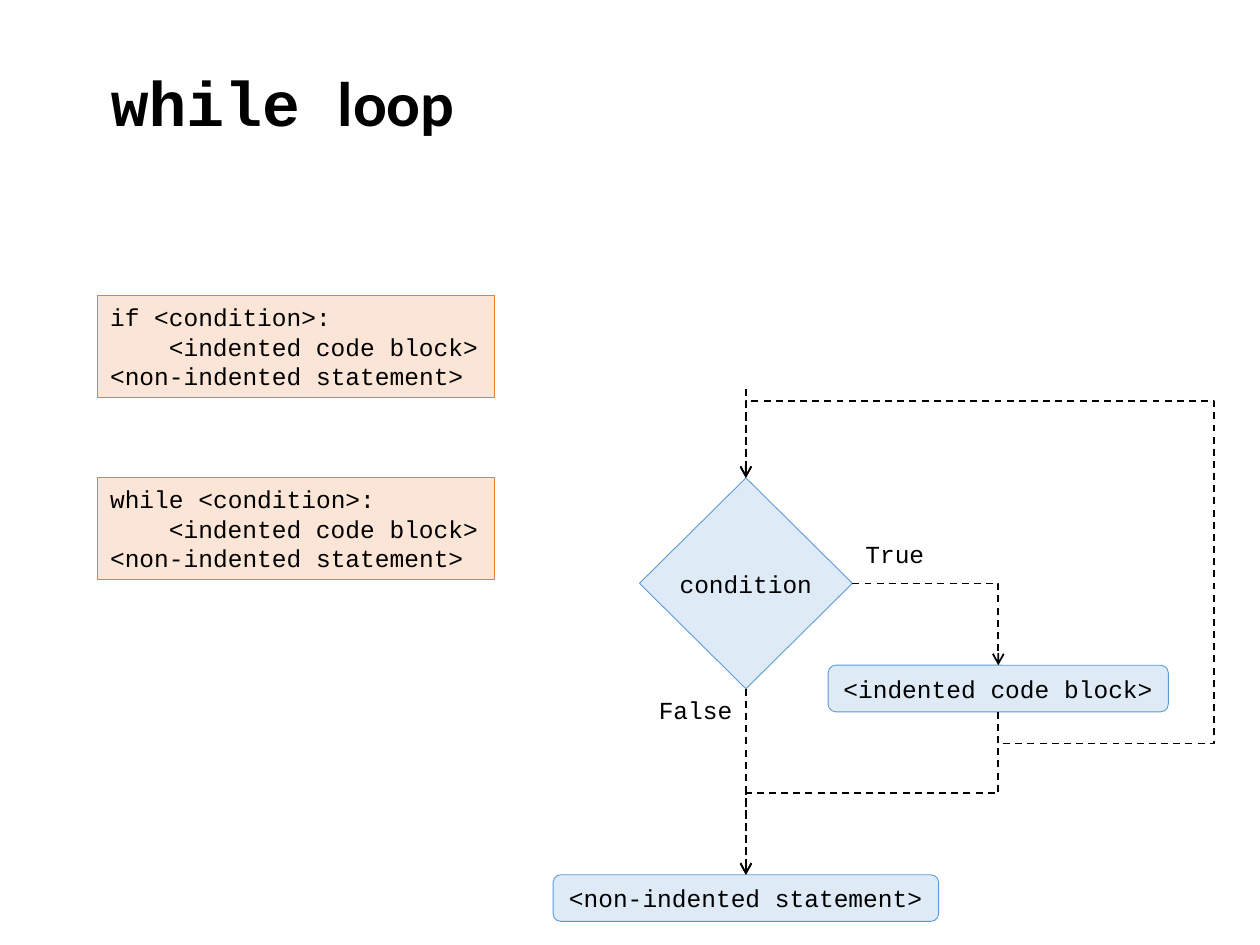
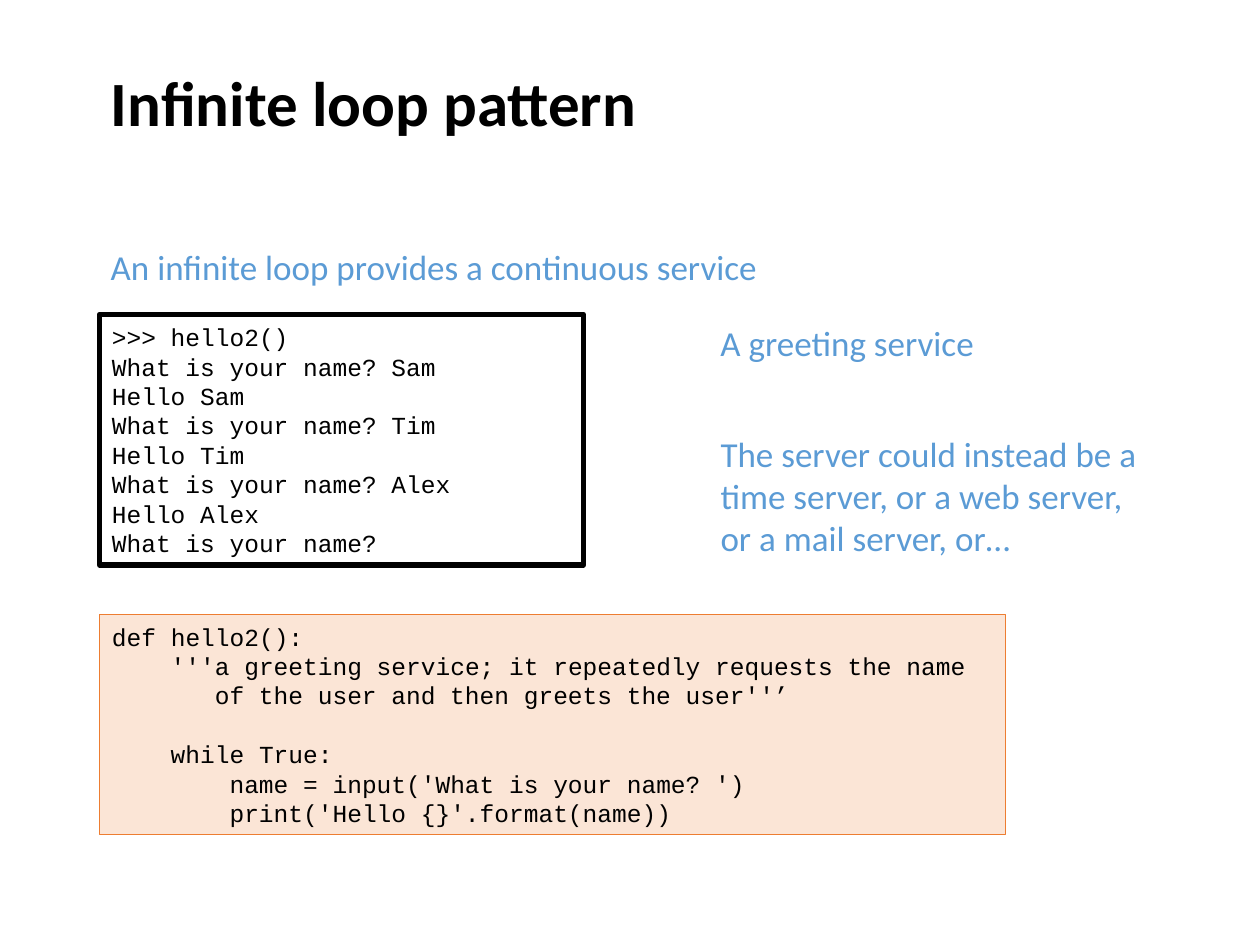
from lxml import etree
from pptx import Presentation
from pptx.dml.color import RGBColor
from pptx.enum.dml import MSO_LINE
from pptx.enum.shapes import MSO_CONNECTOR, MSO_SHAPE
from pptx.enum.text import MSO_ANCHOR, PP_ALIGN
from pptx.oxml.ns import qn
from pptx.util import Inches, Pt

RECT = MSO_SHAPE.RECTANGLE
DECISION = MSO_SHAPE.FLOWCHART_DECISION
PROCESS = MSO_SHAPE.FLOWCHART_ALTERNATE_PROCESS
STRAIGHT, ELBOW = MSO_CONNECTOR.STRAIGHT, MSO_CONNECTOR.ELBOW
DASH = MSO_LINE.DASH
MIDDLE = MSO_ANCHOR.MIDDLE
LEFT, CENTER = PP_ALIGN.LEFT, PP_ALIGN.CENTER
TOP_SITE, BOTTOM_SITE, RIGHT_SITE = 0, 2, 3

BLACK = RGBColor(0x00, 0x00, 0x00)
WHITE = RGBColor(0xFF, 0xFF, 0xFF)
BLUE = RGBColor(0x5B, 0x9B, 0xD5)
PALE_BLUE = RGBColor(0xDE, 0xEB, 0xF7)
ORANGE = RGBColor(0xED, 0x7D, 0x31)
PALE_ORANGE = RGBColor(0xFB, 0xE5, 0xD6)
CODE, BODY = "Courier New", "Calibri"
CODE_SIZE, BODY_SIZE, TITLE_SIZE = 14, 20, 36
CHAR = Pt(CODE_SIZE * 0.6)
LINE_HEIGHT = Pt(CODE_SIZE * 1.2)

prs = Presentation()
prs.slide_width, prs.slide_height = Inches(10), Inches(7.5)
COL, ROW = prs.slide_width // 100, prs.slide_height // 75


def grid(*cells):
    return [int(c * (ROW if i % 2 else COL)) for i, c in enumerate(cells)]


def add_text(s, cells, text, kind=None, look=None, align=LEFT,
             font=CODE, size=CODE_SIZE, color=BLACK, wrap=False):
    if kind is None:
        sp = s.shapes.add_textbox(*grid(*cells))
    else:
        fill, line, width = look
        sp = s.shapes.add_shape(kind, *grid(*cells))
        sp.shadow.inherit = False
        sp.fill.solid()
        sp.fill.fore_color.rgb = fill
        sp.line.color.rgb = line
        sp.line.width = Pt(width)
    tf = sp.text_frame
    tf.word_wrap = wrap
    tf.vertical_anchor = MIDDLE
    gap = 0
    p = tf.paragraphs[0]
    for i, row in enumerate(text.split("\n")):
        if not row:
            gap += LINE_HEIGHT
            continue
        if i:
            p = tf.add_paragraph()
        p.text = row.lstrip()
        p.alignment = align
        indent = len(row) - len(p.text)
        if indent:
            p._p.get_or_add_pPr().set("marL", str(int(indent * CHAR)))
        if gap:
            p.space_before = gap
            gap = 0
        f = p.runs[0].font
        f.name, f.size, f.color.rgb = font, Pt(size), color
    return sp


layout = prs.slide_layouts[5]
title = layout.placeholders[0]
title.left, title.top, title.width, title.height = grid(7.8, 0, 85, 16.1)
title.text_frame.vertical_anchor = MIDDLE

titles = [
    [("while ", CODE), ("loop", BODY)],
    [("Infinite loop pattern", BODY)],
]
for parts in titles:
    s = prs.slides.add_slide(layout)
    p = s.shapes.title.text_frame.paragraphs[0]
    p.alignment = LEFT
    for text, font in parts:
        r = p.add_run()
        r.text = text
        f = r.font
        f.name, f.size, f.bold, f.color.rgb = font, Pt(TITLE_SIZE), True, BLACK

code_look = (PALE_ORANGE, ORANGE, 0.5)
flow_look = (PALE_BLUE, BLUE, 0.5)
shell_look = (WHITE, BLACK, 3)

s = prs.slides[0]
main, branch = 59.2, 79.23
top, bottom, block_top, block_bottom, end = 37.93, 54.67, 52.8, 56.5, 69.43
steps = [
    (DECISION, main, top, 16.9, bottom - top, "condition"),
    (PROCESS, branch, block_top, 27, 3.7, "<indented code block>"),
    (PROCESS, main, end, 30.6, 3.7, "<non-indented statement>"),
]
condition, block, statement = [
    add_text(s, (x - w / 2, y, w, h), text, kind, flow_look, CENTER)
    for kind, x, y, w, h, text in steps]

arrows = [s.shapes.add_connector(STRAIGHT, *grid(main, y1, main, y2))
          for y1, y2 in ((30.9, top), (bottom, end))]
bends = [
    (condition, RIGHT_SITE, block, "bentConnector2", []),
    (block, BOTTOM_SITE, statement, "bentConnector3", [50000]),
    (block, BOTTOM_SITE, condition, "bentConnector5", [-13500, -85400, 133000]),
]
for source, site, target, preset, bend in bends:
    c = s.shapes.add_connector(ELBOW, 0, 0, COL, ROW)
    c.begin_connect(source, site)
    c.end_connect(target, TOP_SITE)
    x1, y1, x2, y2 = c.begin_x, c.begin_y, c.end_x, c.end_y
    w, h = abs(x2 - x1), abs(y2 - y1)
    xfrm = c._element.spPr.xfrm
    xfrm.flipV = False
    xfrm.flipH = y2 < y1
    if site == BOTTOM_SITE:
        w, h = h, w
        xfrm.set("rot", str(90 * 60000))
    c.left, c.top = (x1 + x2 - w) // 2, (y1 + y2 - h) // 2
    c.width, c.height = w, h
    geometry = c._element.spPr.find(qn("a:prstGeom"))
    geometry.set("prst", preset)
    guides = geometry.find(qn("a:avLst"))
    for i, value in enumerate(bend, 1):
        etree.SubElement(guides, qn("a:gd"), name=f"adj{i}", fmla=f"val {value}")
    arrows.append(c)

for c in arrows:
    c.line.color.rgb = BLACK
    c.line.width = Pt(1)
    c.line.dash_style = DASH
    etree.SubElement(c.line._get_or_add_ln(), qn("a:tailEnd"), type="arrow")
    etree.SubElement(c._element.spPr, qn("a:effectLst"))

add_text(s, (51.3, 54.6, 7.9, 3.4), "False")
add_text(s, (67.7, 42.25, 6.7, 3.4), "True")

for keyword, y in (("if", 23.45), ("while", 37.9)):
    add_text(s, (7.75, y, 31.5, 8.1),
             f"{keyword} <condition>:\n    <indented code block>\n"
             "<non-indented statement>", RECT, code_look)

s = prs.slides[1]
notes = [
    ((7.8, 18.95, 53.9, 4.4), "An infinite loop provides a continuous service", False),
    ((56.2, 25, 22.3, 4.4), "A greeting service", False),
    ((56.2, 33.75, 36.9, 11.1),
     "The server could instead be a time server, or a web server, "
     "or a mail server, or…", True),
]
for cells, text, wrap in notes:
    add_text(s, cells, text, font=BODY, size=BODY_SIZE, color=BLUE, wrap=wrap)

session = ">>> hello2()\n"
for name in ("Sam", "Tim", "Alex"):
    session += f"What is your name? {name}\nHello {name}\n"
session += "What is your name?"
add_text(s, (7.9, 24.95, 38.4, 19.9), session, RECT, shell_look, wrap=True)

program = """def hello2():
    '''a greeting service; it repeatedly requests the name
       of the user and then greets the user''’

    while True:
        name = input('What is your name? ')
        print('Hello {}'.format(name))"""
add_text(s, (7.9, 48.75, 71.9, 17.5), program, RECT, code_look, wrap=True)

prs.save("out.pptx")
